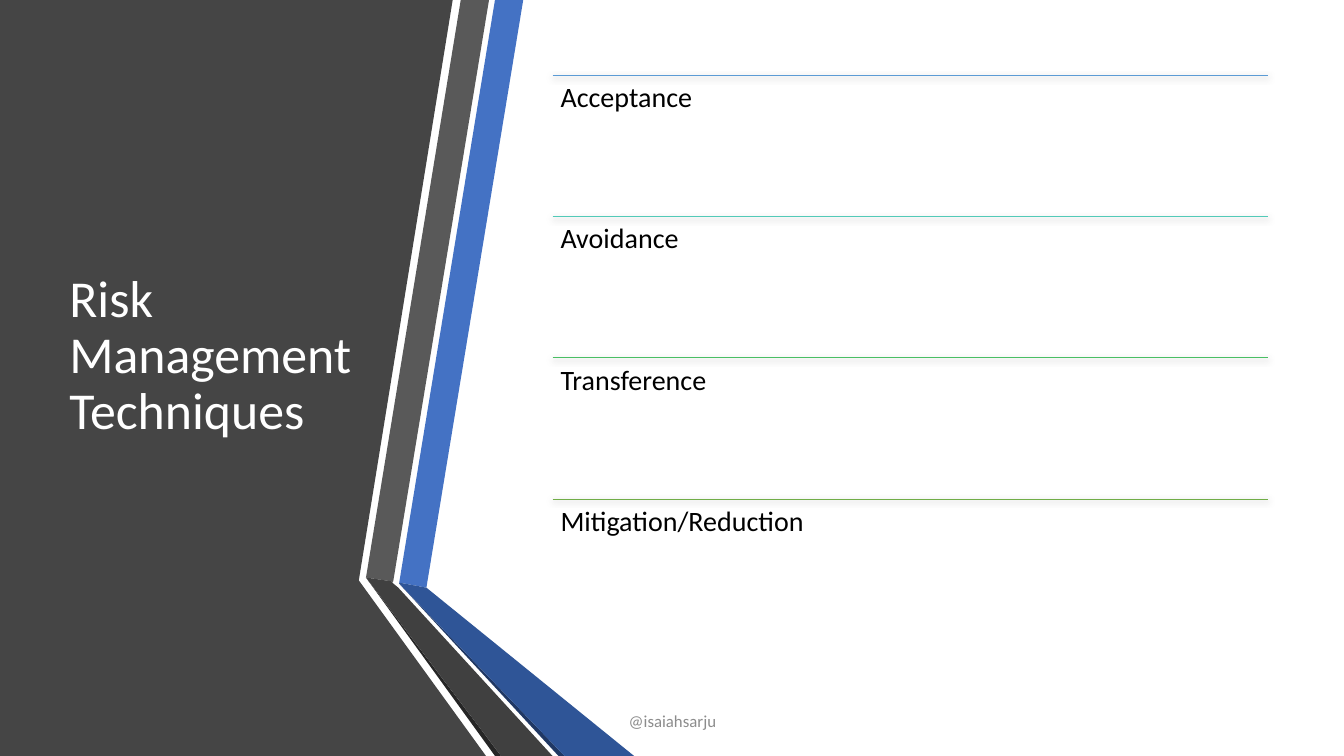
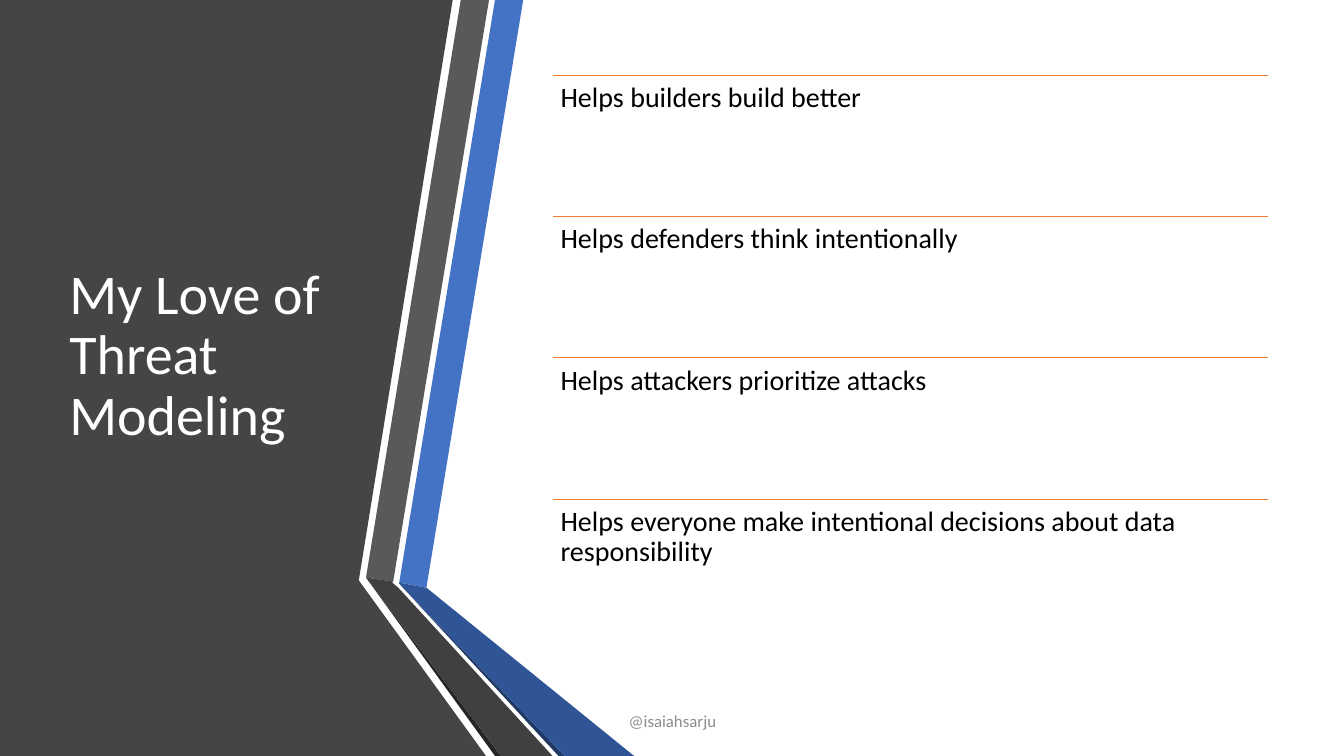
from lxml.etree import SubElement
from pptx import Presentation
from pptx.dml.color import RGBColor
from pptx.enum.shapes import MSO_CONNECTOR
from pptx.enum.text import MSO_ANCHOR, PP_ALIGN
from pptx.oxml.ns import qn
from pptx.util import Pt

PX = 9144
WIDE, HIGH = 1333, 750
FONT = "Calibri"

COLORS = {
    "panel": "454545",
    "blue": "4472C4",
    "gray": "595959",
    "black": "000000",
    "coal": "262626",
    "navy": "203864",
    "deep": "2F5597",
    "dark": "404040",
    "white": "FFFFFF",
    "foot": "8C8C8C",
    "sky": "5B9BD5",
    "teal": "52CAB8",
    "mint": "49BF64",
    "green": "70AD47",
    "orange": "ED7D31",
}

BANDS = [
    ("panel", [(0, 0), (449, 0), (356, 575), (356, 576), (482, 750), (0, 750)]),
    ("blue", [(396, 578), (423, 583), (519, 0), (491, 0)]),
    ("gray", [(485, 0), (457, 0), (363, 573), (390, 577)]),
    ("coal", [(363, 573), (491, 750), (497, 750)]),
    ("navy", [(396, 579), (554, 750), (560, 750)]),
    ("deep", [(396, 579), (560, 750), (629, 750), (423, 583), (396, 578)]),
    ("dark", [(548, 750), (395, 583), (389, 578), (390, 577), (363, 573), (497, 750)]),
]

LEFT, TOP, SPAN, STEP = 548, 75, 710, 140

PAGES = [
    ("Risk Management Techniques", 37, True, [
        ("Acceptance", "sky"),
        ("Avoidance", "teal"),
        ("Transference", "mint"),
        ("Mitigation/Reduction", "green"),
    ]),
    ("My Love of Threat Modeling", 40, False, [
        ("Helps builders build better", "orange"),
        ("Helps defenders think intentionally", "orange"),
        ("Helps attackers prioritize attacks", "orange"),
        ("Helps everyone make intentional decisions about data responsibility", "orange"),
    ]),
]


def tint(name):
    return RGBColor.from_string(COLORS[name])


class Deck:
    def __init__(self):
        self.prs = Presentation()
        self.prs.slide_width = WIDE * PX
        self.prs.slide_height = HIGH * PX
        self.slide = None

    def page(self):
        self.slide = self.prs.slides.add_slide(self.prs.slide_layouts[6])
        for color, points in BANDS:
            self.band(color, points)
        self.text("@isaiahsarju", (442, 695, 450, 40), 12, "foot",
                  anchor=MSO_ANCHOR.MIDDLE, align=PP_ALIGN.CENTER)

    def band(self, color, points):
        pen = self.slide.shapes.build_freeform(*points[0], scale=PX)
        pen.add_line_segments(points[1:], close=True)
        shape = pen.convert_to_shape()
        shape.shadow.inherit = False
        shape.fill.solid()
        shape.fill.fore_color.rgb = tint(color)
        shape.line.fill.background()

    def text(self, words, box, size, color, anchor=MSO_ANCHOR.TOP,
             align=PP_ALIGN.LEFT, inset=None, lead=None):
        frame = self.slide.shapes.add_textbox(*(n * PX for n in box)).text_frame
        frame.word_wrap = True
        frame.vertical_anchor = anchor
        if inset is not None:
            frame.margin_left = frame.margin_right = inset * PX
            frame.margin_top = frame.margin_bottom = inset * PX
        para = frame.paragraphs[0]
        para.alignment = align
        para.line_spacing = lead
        run = para.add_run()
        run.text = words
        run.font.name = FONT
        run.font.size = Pt(size)
        run.font.color.rgb = tint(color)

    def title(self, words, size):
        self.text(words, (59, 75, 304, 558), size, "white",
                  anchor=MSO_ANCHOR.MIDDLE, lead=0.9)

    def rule(self, y, color, shade):
        line = self.slide.shapes.add_connector(
            MSO_CONNECTOR.STRAIGHT, LEFT * PX, y * PX, (LEFT + SPAN) * PX, y * PX)
        line.line.color.rgb = tint(color)
        line.line.width = Pt(0.5)
        effects = SubElement(line._element.spPr, qn("a:effectLst"))
        if shade:
            drop = SubElement(effects, qn("a:outerShdw"), blurRad=str(Pt(4.5)),
                              dist=str(Pt(1.5)), dir="5400000", algn="ctr",
                              rotWithShape="0")
            ink = SubElement(drop, qn("a:srgbClr"), val=COLORS["black"])
            SubElement(ink, qn("a:alpha"), val="63000")

    def items(self, rows, shade):
        for i, (words, color) in enumerate(rows):
            y = TOP + i * STEP
            self.rule(y, color, shade)
            self.text(words, (LEFT, y, SPAN, STEP), 20, "black", inset=8, lead=0.9)


def main():
    deck = Deck()
    for title, size, shade, rows in PAGES:
        deck.page()
        deck.title(title, size)
        deck.items(rows, shade)
    deck.prs.save("out.pptx")


if __name__ == "__main__":
    main()
